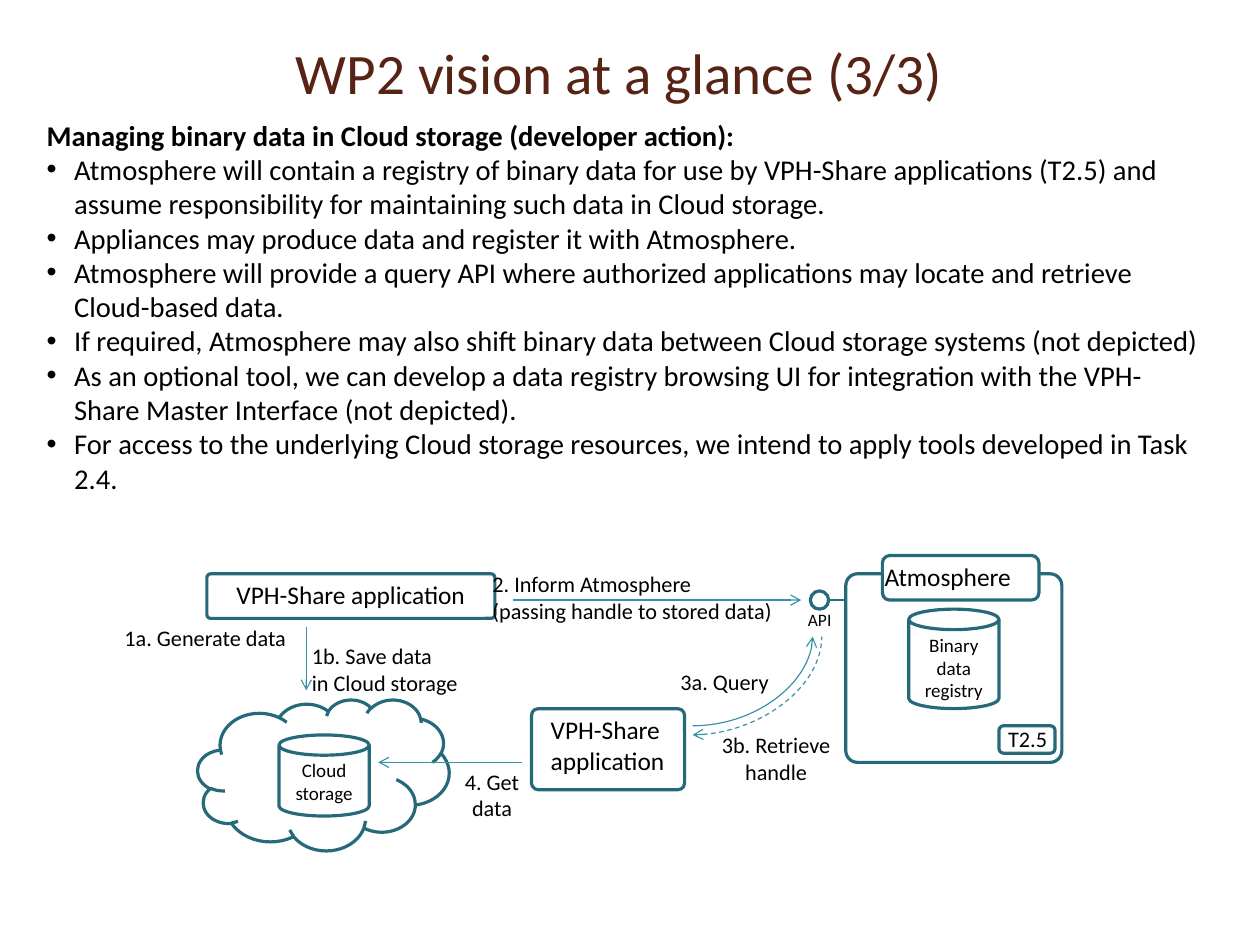
from dataclasses import dataclass

from lxml.etree import SubElement
from pptx import Presentation
from pptx.dml.color import RGBColor
from pptx.enum.dml import MSO_LINE_DASH_STYLE as Dash
from pptx.enum.shapes import MSO_CONNECTOR as Link, MSO_SHAPE as Preset
from pptx.enum.text import MSO_ANCHOR as Anchor, PP_ALIGN as Align
from pptx.oxml.ns import qn
from pptx.slide import Slide
from pptx.util import Inches, Pt


@dataclass(frozen=True)
class Theme:
    """Colours, type sizes and line widths of the slide."""
    font: str = "Calibri"
    title: str = "572314"
    ink: str = "000000"
    paper: str = "FFFFFF"
    outline: str = "26697A"
    arrow: str = "3891A7"
    socket: str = "2A6D7D"
    title_size: int = 36
    body_size: int = 18
    node_size: int = 16
    label_size: int = 14
    store_size: int = 12
    api_size: int = 11
    outline_width: float = 2
    socket_width: float = 1.5
    arrow_width: float = 0.75


THEME = Theme()
WIDTH_CM, HEIGHT_CM, CM_PER_INCH = 28, 21, 2.54


@dataclass(frozen=True)
class Node:
    """An outlined shape of the diagram."""
    preset: Preset
    box: tuple[float, float, float, float]
    adjustment: float | None = None
    filled: bool = False


@dataclass(frozen=True)
class Arrow:
    """A line of the diagram with an optional arrowhead."""
    start: tuple[float, float]
    end: tuple[float, float]
    head: str | None = "tailEnd"
    curved: bool = False
    dashed: bool = False
    color: str = THEME.arrow
    width: float = THEME.arrow_width


@dataclass(frozen=True)
class Label:
    """A text of the diagram, one paragraph for each line."""
    lines: tuple[str, ...]
    box: tuple[float, float, float, float]
    size: int = THEME.label_size
    centered: bool = False
    margins: tuple[float, float] = (0.1, 0.05)


BODY_HEADING = "Managing binary data in Cloud storage (developer action):"
BODY_BULLETS = (
    "Atmosphere will contain a registry of binary data for use by VPH-Share applications (T2.5) "
    "and assume responsibility for maintaining such data in Cloud storage.",
    "Appliances may produce data and register it with Atmosphere.",
    "Atmosphere will provide a query API where authorized applications may locate and retrieve "
    "Cloud-based data.",
    "If required, Atmosphere may also shift binary data between Cloud storage systems (not depicted)",
    "As an optional tool, we can develop a data registry browsing UI for integration with the "
    "VPH-Share Master Interface (not depicted).",
    "For access to the underlying Cloud storage resources, we intend to apply tools developed in "
    "Task 2.4.",
)

NODES = (
    Node(Preset.ROUNDED_RECTANGLE, (1.81, 5.02, 2.52, 0.39), 0.085),
    Node(Preset.CLOUD, (1.73, 6.12, 2.2, 1.32)),
    Node(Preset.ROUNDED_RECTANGLE, (7.4, 5.02, 1.89, 1.65), 0.062),
    Node(Preset.CAN, (7.95, 5.33, 0.79, 0.87), 0.227),
    Node(Preset.ROUNDED_RECTANGLE, (7.72, 4.86, 1.37, 0.39), 0.167, filled=True),
    Node(Preset.OVAL, (7.09, 5.17, 0.16, 0.16)),
    Node(Preset.ROUNDED_RECTANGLE, (8.74, 6.35, 0.49, 0.24), 0.167),
    Node(Preset.CAN, (2.44, 6.43, 0.79, 0.71), 0.25),
    Node(Preset.ROUNDED_RECTANGLE, (4.65, 6.2, 1.34, 0.71), 0.085),
)

ARROWS = (
    Arrow((4.49, 5.25), (7.01, 5.25)),
    Arrow((7.24, 5.25), (7.4, 5.25), head=None, color=THEME.socket, width=THEME.socket_width),
    Arrow((3.31, 6.67), (4.57, 6.67), head="headEnd"),
    Arrow((2.68, 5.49), (2.68, 6.04)),
    Arrow((6.06, 6.35), (7.11, 5.57), curved=True),
    Arrow((6.06, 6.43), (7.19, 5.57), head="headEnd", curved=True, dashed=True),
)

LABELS = (
    Label(("VPH-Share application",), (1.97, 5.02, 2.28, 0.64), THEME.node_size),
    Label(("2. Inform Atmosphere", "(passing handle to stored data)"), (4.21, 4.94, 3.04, 0.57)),
    Label(("Binary", "data", "registry"), (7.95, 5.49, 0.79, 0.9), THEME.store_size, centered=True),
    Label(("Atmosphere",), (7.64, 4.86, 1.48, 0.37), THEME.node_size),
    Label(("API",), (6.97, 5.28, 0.44, 0.29), THEME.api_size),
    Label(("4. Get", "data"), (3.94, 6.67, 0.73, 0.57), centered=True),
    Label(("3a. Query",), (5.83, 5.8, 1.02, 0.57), centered=True),
    Label(("3b. Retrieve", "handle"), (6.15, 6.35, 1.28, 0.57), centered=True),
    Label(("T2.5",), (8.82, 6.35, 0.39, 0.23), margins=(0, 0)),
    Label(("Cloud", "storage"), (2.44, 6.59, 0.79, 0.7), THEME.store_size, centered=True),
    Label(("1a. Generate data",), (0.99, 5.41, 1.83, 0.34)),
    Label(("1b. Save data", "in Cloud storage"), (2.63, 5.57, 1.7, 0.57)),
    Label(("VPH-Share", "application"), (4.72, 6.2, 1.26, 1.17), THEME.node_size),
)


def add_text(slide: Slide, lines: tuple[str, ...], box: tuple[float, float, float, float], *,
             size: int, color: str = THEME.ink, centered: bool = False, middle: bool = False,
             heading: bool = False, margins: tuple[float, float] = (0.1, 0.05)) -> None:
    """Add a text box; with a heading, the first line is bold and the others are bullets."""
    frame = slide.shapes.add_textbox(*map(Inches, box)).text_frame
    frame.word_wrap = True
    frame.vertical_anchor = Anchor.MIDDLE if middle else Anchor.TOP
    frame.margin_left = frame.margin_right = Inches(margins[0])
    frame.margin_top = frame.margin_bottom = Inches(margins[1])
    for index, line in enumerate(lines):
        paragraph = frame.add_paragraph() if index else frame.paragraphs[0]
        paragraph.text = line
        paragraph.alignment = Align.CENTER if centered else Align.LEFT
        if heading and index:
            properties = paragraph._p.get_or_add_pPr()
            properties.set("marL", str(Inches(0.24)))
            properties.set("indent", str(-Inches(0.24)))
            SubElement(properties, qn("a:buFont"), typeface="Arial")
            SubElement(properties, qn("a:buChar"), char="•")
        font = paragraph.font
        font.name, font.size = THEME.font, Pt(size)
        font.bold = heading and index == 0
        font.color.rgb = RGBColor.from_string(color)


def add_node(slide: Slide, node: Node) -> None:
    """Add an outlined shape."""
    shape = slide.shapes.add_shape(node.preset, *map(Inches, node.box))
    shape.shadow.inherit = False
    if node.adjustment is not None:
        shape.adjustments[0] = node.adjustment
    if node.filled:
        shape.fill.solid()
        shape.fill.fore_color.rgb = RGBColor.from_string(THEME.paper)
    else:
        shape.fill.background()
    shape.line.color.rgb = RGBColor.from_string(THEME.outline)
    shape.line.width = Pt(THEME.outline_width)


def add_arrow(slide: Slide, arrow: Arrow) -> None:
    """Add a straight or quarter-curved connector."""
    kind = Link.CURVE if arrow.curved else Link.STRAIGHT
    connector = slide.shapes.add_connector(kind, *map(Inches, arrow.start + arrow.end))
    properties = connector._element.spPr
    if arrow.curved:
        properties.find(qn("a:prstGeom")).set("prst", "curvedConnector2")
    connector.line.color.rgb = RGBColor.from_string(arrow.color)
    connector.line.width = Pt(arrow.width)
    if arrow.dashed:
        connector.line.dash_style = Dash.DASH
    if arrow.head:
        SubElement(properties.find(qn("a:ln")), qn(f"a:{arrow.head}"), type="arrow")
    SubElement(properties, qn("a:effectLst"))


def main() -> None:
    """Build the slide and save it."""
    presentation = Presentation()
    presentation.slide_width = round(Inches(WIDTH_CM) / CM_PER_INCH)
    presentation.slide_height = round(Inches(HEIGHT_CM) / CM_PER_INCH)
    presentation.element.find(qn("p:sldSz")).attrib.pop("type", None)
    slide = presentation.slides.add_slide(presentation.slide_layouts[6])
    add_text(slide, ("WP2 vision at a glance (3/3)",), (2.48, -0.03, 6.06, 1.31),
             size=THEME.title_size, color=THEME.title, middle=True, margins=(0.11, 0.06))
    add_text(slide, (BODY_HEADING, *BODY_BULLETS), (0.31, 0.98, 10.32, 3.7),
             size=THEME.body_size, heading=True)
    for node in NODES:
        add_node(slide, node)
    for arrow in ARROWS:
        add_arrow(slide, arrow)
    for label in LABELS:
        add_text(slide, label.lines, label.box, size=label.size, centered=label.centered,
                 margins=label.margins)
    presentation.save("out.pptx")


if __name__ == "__main__":
    main()
